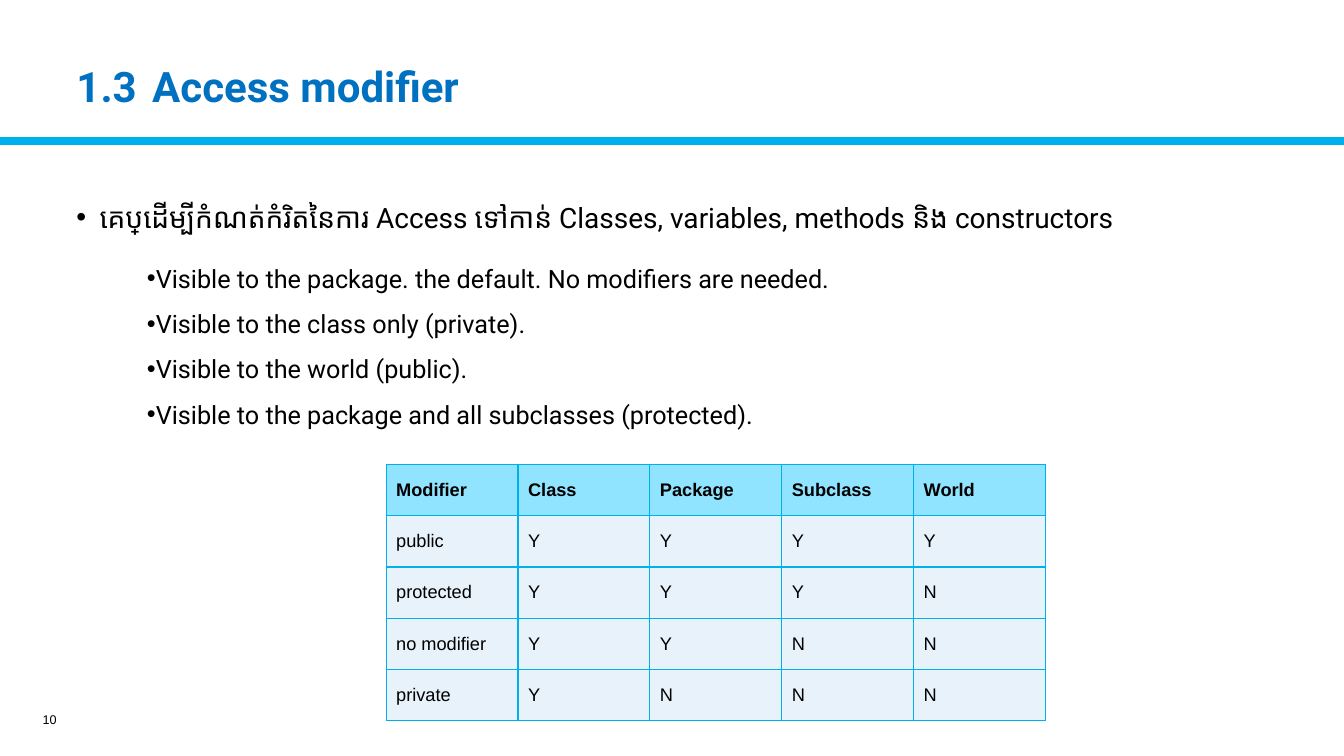
"""Build the slide on access modifiers."""
from dataclasses import dataclass, field
from typing import Any

import lxml.etree
import pptx
import pptx.dml.color
import pptx.enum.shapes
import pptx.enum.text
import pptx.oxml.ns
import pptx.util

Inches = pptx.util.Inches
Pt = pptx.util.Pt
qn = pptx.oxml.ns.qn
ANCHOR = pptx.enum.text.MSO_ANCHOR
ALIGN = pptx.enum.text.PP_ALIGN
FIT = pptx.enum.text.MSO_AUTO_SIZE

COLORS = {
    "line": "00B0EA",
    "title": "0070C0",
    "text": "000000",
    "head": "91E4FF",
    "cell": "E7F2FB",
}
ROWS = [
    "Modifier|Class|Package|Subclass|World",
    "public|Y|Y|Y|Y",
    "protected|Y|Y|Y|N",
    "no modifier|Y|Y|N|N",
    "private|Y|N|N|N",
]


@dataclass
class Box:
    place: tuple[float, float, float, float]
    lines: list[str]
    font: dict[str, Any]
    color: str = "text"
    frame: dict[str, Any] = field(default_factory=dict)
    para: dict[str, Any] = field(default_factory=dict)
    hang: float | None = None
    tab: float | None = None


BOXES = [
    Box((0.09, 6.99, 0.57, 0.3), ["10"], {"name": "Arial", "size": Pt(9)},
        frame={"vertical_anchor": ANCHOR.MIDDLE},
        para={"alignment": ALIGN.RIGHT}),
    Box((0.66, 0.33, 12.02, 1.11), ["1.3\tAccess modifier"],
        {"name": "Roboto", "size": Pt(30), "bold": True}, "title",
        frame={"vertical_anchor": ANCHOR.MIDDLE},
        para={"line_spacing": 0.9}, tab=0.75),
    Box((0.66, 1.94, 12.05, 4.72),
        ["គេប្រើដើម្បីកំណត់កំរិតនៃការ Access ទៅកាន់ Classes, variables, methods និង constructors"],
        {"name": "Roboto", "size": Pt(20)}, hang=0.23),
    Box((1.36, 2.41, 8.37, 1.88),
        ["Visible to the package. the default. No modifiers are needed.",
         "Visible to the class only (private).",
         "Visible to the world (public).",
         "Visible to the package and all subclasses (protected)."],
        {"name": "Roboto", "size": Pt(18)},
        frame={"auto_size": FIT.SHAPE_TO_FIT_TEXT},
        para={"alignment": ALIGN.JUSTIFY, "line_spacing": 1.5}, hang=0),
]


def paint(name: str) -> pptx.dml.color.RGBColor:
    return pptx.dml.color.RGBColor.from_string(COLORS[name])


def apply(target: Any, form: dict[str, Any]) -> None:
    for key, value in form.items():
        setattr(target, key, value)


def add(parent: Any, tag: str, **values: str) -> Any:
    return lxml.etree.SubElement(parent, qn(tag), values)


def write(para: Any, text: str, font: dict[str, Any], color: str) -> None:
    run = para.add_run()
    run.text = text
    apply(run.font, font)
    run.font.color.rgb = paint(color)


def draw_box(slide: Any, box: Box) -> None:
    frame = slide.shapes.add_textbox(*map(Inches, box.place)).text_frame
    apply(frame, {"word_wrap": True, **box.frame})
    for index, line in enumerate(box.lines):
        para = frame.add_paragraph() if index else frame.paragraphs[0]
        props = para._p.get_or_add_pPr()
        if box.hang is not None:
            props.set("marL", str(Inches(box.hang)))
            props.set("indent", str(Inches(-box.hang)))
            add(add(props, "a:buClr"), "a:srgbClr", val=COLORS["text"])
            add(props, "a:buFont", typeface="Arial")
            add(props, "a:buChar", char="•")
        if box.tab is not None:
            add(add(props, "a:tabLst"), "a:tab", pos=str(Inches(box.tab)), algn="l")
        apply(para, box.para)
        write(para, line, box.font, box.color)


def draw_rule(slide: Any) -> None:
    rule = slide.shapes.add_connector(
        pptx.enum.shapes.MSO_CONNECTOR.STRAIGHT,
        Inches(0), Inches(1.4), Inches(13.33), Inches(1.4))
    rule.line.color.rgb = paint("line")
    rule.line.width = Pt(6)
    add(rule._element.spPr, "a:effectLst")


def edge(cell: Any) -> None:
    props = cell._tc.get_or_add_tcPr()
    for side in ("L", "R", "T", "B"):
        line = add(props, f"a:ln{side}", w=str(Pt(1)))
        add(add(line, "a:solidFill"), "a:srgbClr", val=COLORS["line"])


def draw_table(slide: Any) -> None:
    rows = [row.split("|") for row in ROWS]
    place = map(Inches, (3.83, 4.61, 6.54, 2.54))
    table = slide.shapes.add_table(len(rows), len(rows[0]), *place).table
    for r, row in enumerate(rows):
        font = {"name": "Arial", "size": Pt(13), "bold": r == 0}
        for c, text in enumerate(row):
            cell = table.cell(r, c)
            edge(cell)
            cell.vertical_anchor = ANCHOR.MIDDLE
            cell.fill.solid()
            cell.fill.fore_color.rgb = paint("cell" if r else "head")
            write(cell.text_frame.paragraphs[0], text, font, "text")


def main() -> None:
    deck = pptx.Presentation()
    apply(deck, {"slide_width": Inches(13.33), "slide_height": Inches(7.5)})
    slide = deck.slides.add_slide(deck.slide_layouts[6])
    draw_rule(slide)
    draw_table(slide)
    for box in BOXES:
        draw_box(slide, box)
    deck.save("out.pptx")


if __name__ == "__main__":
    main()
